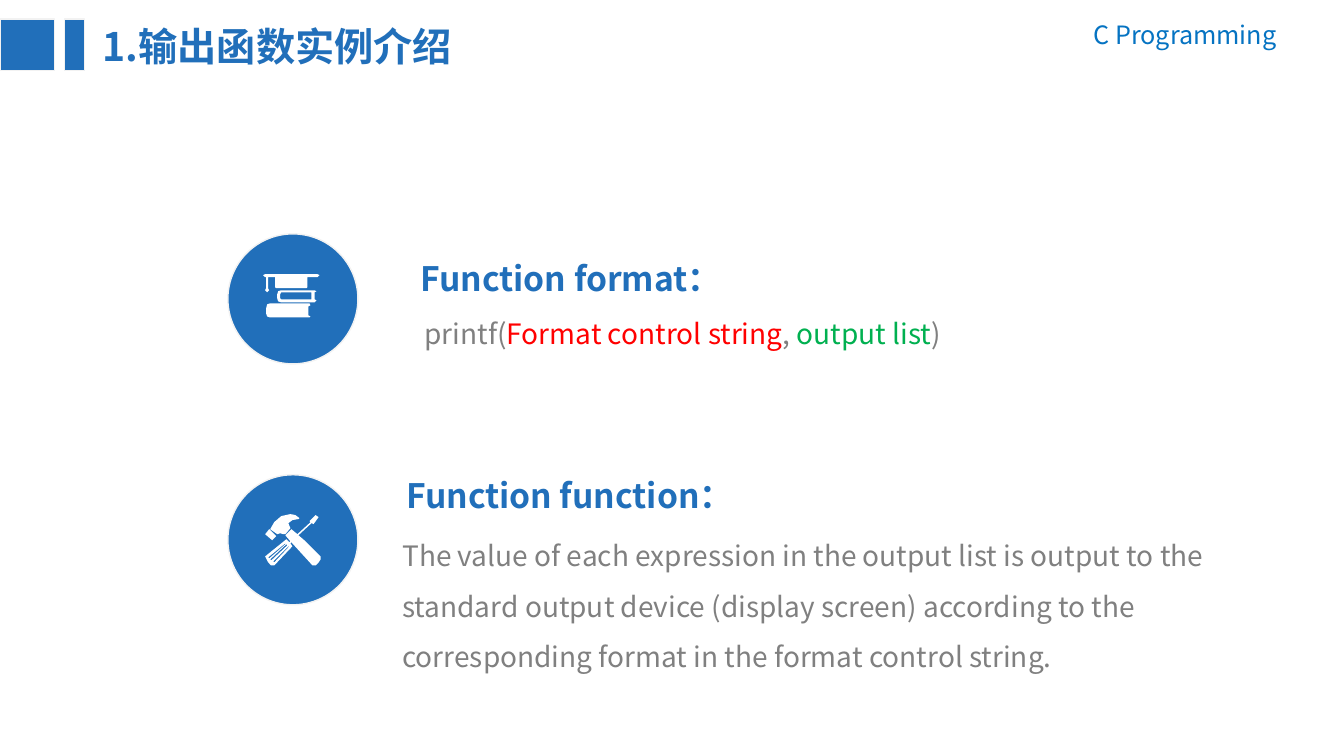
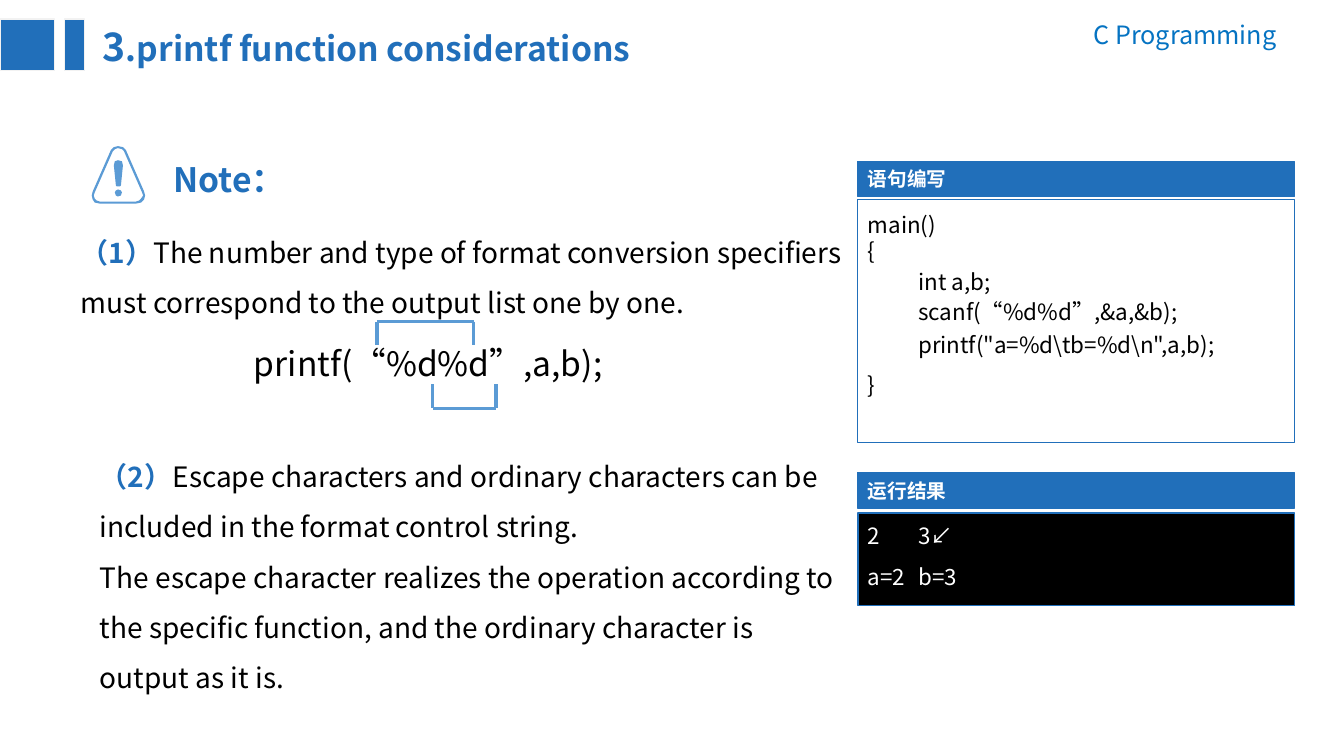
from dataclasses import dataclass

from lxml import etree
from pptx import Presentation
from pptx.dml.color import RGBColor
from pptx.enum.shapes import MSO_CONNECTOR, MSO_SHAPE
from pptx.enum.text import MSO_ANCHOR, MSO_AUTO_SIZE, PP_ALIGN
from pptx.oxml.ns import qn
from pptx.util import Inches, Pt

RECTANGLE, OVAL = MSO_SHAPE.RECTANGLE, MSO_SHAPE.OVAL
STRAIGHT = MSO_CONNECTOR.STRAIGHT
TOP, MIDDLE = MSO_ANCHOR.TOP, MSO_ANCHOR.MIDDLE
LEFT, RIGHT = PP_ALIGN.LEFT, PP_ALIGN.RIGHT
NO_AUTOFIT = MSO_AUTO_SIZE.NONE


@dataclass(frozen=True)
class Theme:
    font: str = "Noto Sans CJK SC"
    blue: str = "216FBA"
    course_blue: str = "0573C2"
    light_blue: str = "5B9BD5"
    gray: str = "808080"
    pale: str = "F2F2F2"
    red: str = "FF0000"
    green: str = "00B050"
    black: str = "000000"
    white: str = "FFFFFF"
    title: int = 28
    heading: int = 24
    body: int = 20
    course: int = 18
    code: int = 16
    label: int = 14


theme = Theme()


def write(frame, paragraphs, size, spacing=1.0, align=LEFT, anchor=TOP, tabs=()):
    """Fill a frame; each paragraph is a list of (text, colour, bold[, size]) runs."""
    frame.word_wrap = True
    frame.auto_size = NO_AUTOFIT
    frame.vertical_anchor = anchor
    for index, runs in enumerate(paragraphs):
        paragraph = frame.add_paragraph() if index else frame.paragraphs[0]
        properties = paragraph._p.get_or_add_pPr()
        properties.set("marL", "0")
        properties.set("indent", "0")
        etree.SubElement(properties, qn("a:buNone"))
        if tabs:
            tab_list = etree.SubElement(properties, qn("a:tabLst"))
            etree.SubElement(tab_list, qn("a:tab"), pos=str(Inches(tabs[index])), algn="l")
        paragraph.alignment = align
        paragraph.line_spacing = spacing
        paragraph.space_before = Pt(0)
        for text, color, bold, *own_size in runs:
            run = paragraph.add_run()
            run.text = text
            run.font.name = theme.font
            run.font.size = Pt(own_size[0] if own_size else size)
            run.font.bold = bold
            run.font.color.rgb = RGBColor.from_string(color)
            etree.SubElement(run._r.get_or_add_rPr(), qn("a:ea"), typeface=theme.font)


def add_box(slide, kind, bounds, fill, line, width):
    """Draw a filled preset shape with a plain outline."""
    shape = slide.shapes.add_shape(kind, *map(Inches, bounds))
    shape.shadow.inherit = False
    shape.fill.solid()
    shape.fill.fore_color.rgb = RGBColor.from_string(fill)
    shape.line.color.rgb = RGBColor.from_string(line)
    shape.line.width = Pt(width)
    return shape


presentation = Presentation()
presentation.slide_width = Inches(13.33)
presentation.slide_height = Inches(7.5)
two_content = presentation.slide_layouts[3]
format_slide = presentation.slides.add_slide(two_content)
notes_slide = presentation.slides.add_slide(two_content)

# Shared header: bands and course name live on the master
master_tree = presentation.slide_master.shapes.element
for left, width in ((0, 0.54), (0.64, 0.2)):
    band = add_box(format_slide, RECTANGLE, (left, 0.19, width, 0.51), theme.blue, theme.pale, 1)
    master_tree.append(band.element)
course = format_slide.shapes.add_textbox(Inches(9.76), Inches(0.14), Inches(3), Inches(0.4))
write(course.text_frame, [[("C Programming", theme.course_blue, False)]], theme.course, align=RIGHT)
master_tree.append(course.element)

# Titles
titles = (
    (format_slide, [("1.输出函数实例介绍", theme.blue, True)]),
    (notes_slide, [("3", theme.blue, True),
                   (".printf function considerations", theme.blue, True, theme.heading)]),
)
for slide, runs in titles:
    title = slide.shapes.title
    title.left, title.top, title.width, title.height = map(Inches, (0.92, 0.17, 8.54, 0.57))
    write(title.text_frame, [runs], theme.title)

# Body texts
bodies = (
    (format_slide, 1, (4.11, 2.92, 6.49, 0.6), [[
        ("printf(", theme.gray, False),
        ("Format control string", theme.red, False),
        (", ", theme.gray, False),
        ("output list", theme.green, False),
        (")", theme.gray, False),
    ]]),
    (format_slide, 2, (3.89, 5.13, 8.52, 1.61), [[
        ("The value of each expression in the output list is output to the standard output "
         "device (display screen) according to the corresponding format in the format "
         "control string.", theme.gray, False),
    ]]),
    (notes_slide, 1, (0.7, 2.12, 7.81, 1.11), [[
        ("（1）", theme.blue, True),
        ("The number and type of format conversion specifiers must correspond to the output "
         "list one by one.", theme.black, False),
    ]]),
    (notes_slide, 2, (0.89, 4.34, 7.62, 2.62), [
        [("（2）", theme.blue, True),
         ("Escape characters and ordinary characters can be included in the format control "
          "string.", theme.black, False)],
        [("The escape character realizes the operation according to the specific function, "
          "and the ordinary character is output as it is.", theme.black, False)],
    ]),
)
for slide, number, bounds, paragraphs in bodies:
    body = slide.placeholders[number]
    body.left, body.top, body.width, body.height = map(Inches, bounds)
    write(body.text_frame, paragraphs, theme.body, spacing=1.5)

# Headings and the sample call
headings = (
    (format_slide, (4.07, 2.43, 4.02, 0.58), "Function format：", theme.blue, True, 1.2),
    (format_slide, (3.93, 4.58, 5.43, 0.58), "Function function：", theme.blue, True, 1.2),
    (notes_slide, (1.62, 1.45, 4.02, 0.58), "Note：", theme.blue, True, 1.2),
    (notes_slide, (2.42, 3.35, 4.79, 0.5), "printf(“%d%d”,a,b);", theme.black, False, 1.0),
)
for slide, bounds, text, color, bold, spacing in headings:
    heading = slide.shapes.add_textbox(*map(Inches, bounds))
    write(heading.text_frame, [[(text, color, bold)]], theme.heading, spacing)

# Icon discs
for top in (2.32, 4.71):
    add_box(format_slide, OVAL, (2.26, top, 1.29, 1.29), theme.blue, theme.pale, 1)

# Icon outlines, in hundredths of an inch
books = (
    ((261, 273), (263, 272), (315, 272), (317, 273), (315, 275), (305, 275), (305, 285),
     (304, 286), (274, 286), (273, 285), (273, 275), (266, 275), (266, 286), (267, 288),
     (265, 290), (263, 288), (264, 286), (264, 275), (263, 275)),
    ((314, 298), (312, 300), (279, 300), (276, 299), (275, 296), (275, 292), (276, 289),
     (279, 288), (312, 288), (314, 289), (312, 290), (312, 297)),
    ((279, 297), (309, 297), (309, 290), (279, 290), (278, 292), (278, 296)),
    ((307, 315), (268, 315), (265, 314), (264, 311), (264, 306), (265, 302), (268, 301),
     (307, 301), (308, 303), (306, 304), (306, 313), (308, 314)),
)
tools = (
    ((288, 510), (293, 511), (297, 514), (296, 515), (290, 516), (286, 519), (288, 524),
     (283, 530), (281, 530), (278, 529), (275, 530), (268, 525), (272, 518), (279, 512)),
    ((267, 525), (274, 532), (270, 536), (263, 530)),
    ((313, 511), (316, 513), (311, 520), (309, 519), (296, 531), (303, 537), (318, 552),
     (318, 555), (316, 558), (313, 561), (310, 561), (289, 538), (288, 539), (290, 542),
     (272, 561), (269, 561), (266, 558), (263, 552), (284, 535), (287, 538), (288, 537),
     (283, 531), (289, 525), (295, 530), (308, 518), (307, 517)),
    ((286, 542), (271, 557), (272, 558), (287, 542)),
    ((284, 540), (268, 555), (269, 556), (285, 541)),
    ((283, 539), (266, 553), (267, 554), (283, 540)),
)
warning = (
    ((117, 145), (122, 146), (125, 149), (143, 190), (144, 194), (143, 198), (140, 201),
     (135, 202), (99, 202), (94, 201), (92, 198), (91, 194), (92, 190), (110, 149), (113, 146)),
    ((117, 147), (114, 148), (112, 150), (94, 191), (93, 194), (94, 197), (96, 199),
     (99, 200), (135, 200), (138, 199), (140, 197), (142, 194), (141, 191), (123, 150),
     (121, 148)),
    ((117, 159), (121, 160), (122, 164), (120, 184), (119, 185), (116, 185), (115, 184),
     (113, 164), (114, 160)),
    ((117, 188), (120, 189), (121, 191), (120, 194), (117, 195), (115, 194), (114, 191),
     (115, 189)),
)
icons = (
    (format_slide, books, theme.white),
    (format_slide, tools, theme.white),
    (notes_slide, warning, theme.light_blue),
)
for slide, contours, color in icons:
    builder = slide.shapes.build_freeform(*contours[0][0], scale=Inches(0.01))
    for contour in contours:
        if contour is not contours[0]:
            builder.move_to(*contour[0])
        builder.add_line_segments(contour[1:], close=True)
    icon = builder.convert_to_shape()
    icon.shadow.inherit = False
    icon.fill.solid()
    icon.fill.fore_color.rgb = RGBColor.from_string(color)
    icon.line.fill.background()

# Brackets pairing each specifier with its argument
for left, right, bar, tip in ((3.74, 4.7, 3.19, 3.42), (4.29, 4.92, 4.05, 3.81)):
    corners = ((left, tip), (left, bar), (right, bar), (right, tip))
    for start, end in zip(corners, corners[1:]):
        connector = notes_slide.shapes.add_connector(STRAIGHT, *map(Inches, start + end))
        connector.line.color.rgb = RGBColor.from_string(theme.light_blue)
        connector.line.width = Pt(2.25)
        etree.SubElement(connector.element.spPr, qn("a:effectLst"))

# Code and result panels: text lines carry (text, points before, tab stop)
code_lines = (
    ("main()", 0, 0.44),
    ("{", 0, 0.44),
    ("\tint a,b;", 2.5, 0.44),
    ("\tscanf(“%d%d”,&a,&b);", 2.5, 0.44),
    ("\tprintf(\"a=%d\\tb=%d\\n\",a,b);", 4, 0.44),
    ("}", 10, 0.44),
)
result_lines = (("2\t3↙", 0, 0.23), ("a=2\tb=3", 10, 0.71))
panels = (
    ("语句编写", 1.6, 1.98, 2.41, 0.11, theme.white, theme.black, 0.75, code_lines),
    ("运行结果", 4.69, 5.09, 0.92, 0.09, theme.black, theme.white, 1, result_lines),
)
for label, header_top, top, height, inset, fill, ink, outline, lines in panels:
    header = add_box(notes_slide, RECTANGLE, (8.51, header_top, 4.33, 0.35),
                     theme.blue, theme.blue, 0.75)
    write(header.text_frame, [[(label, theme.white, True)]], theme.label, anchor=MIDDLE)
    panel = add_box(notes_slide, RECTANGLE, (8.51, top, 4.33, height), fill, theme.blue, outline)
    panel.text_frame.margin_top = Inches(inset)
    write(panel.text_frame, [[(text, ink, False)] for text, _, _ in lines], theme.code,
          tabs=[tab for _, _, tab in lines])
    for paragraph, (_, before, _) in zip(panel.text_frame.paragraphs, lines):
        paragraph.space_before = Pt(before)

presentation.save("out.pptx")
